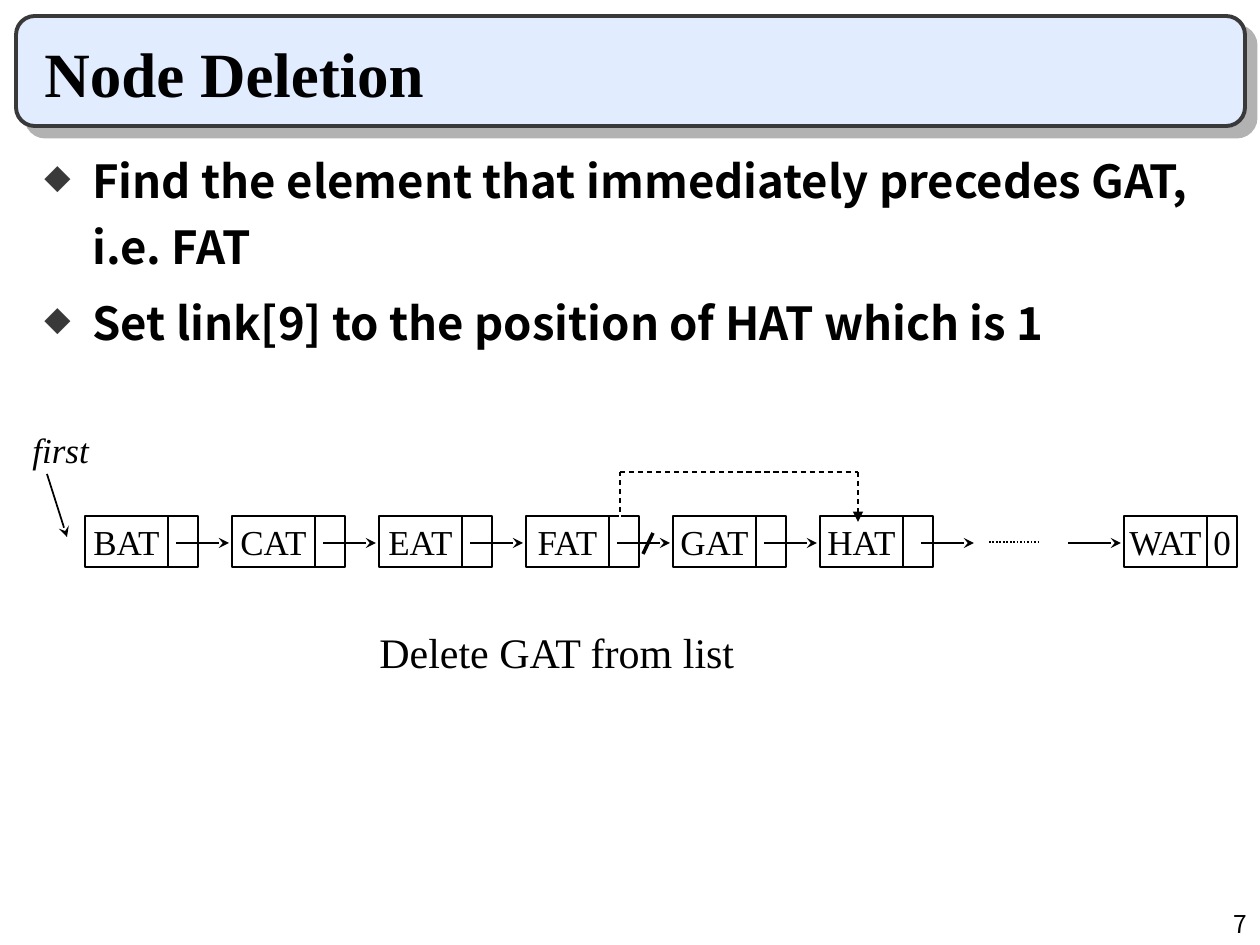
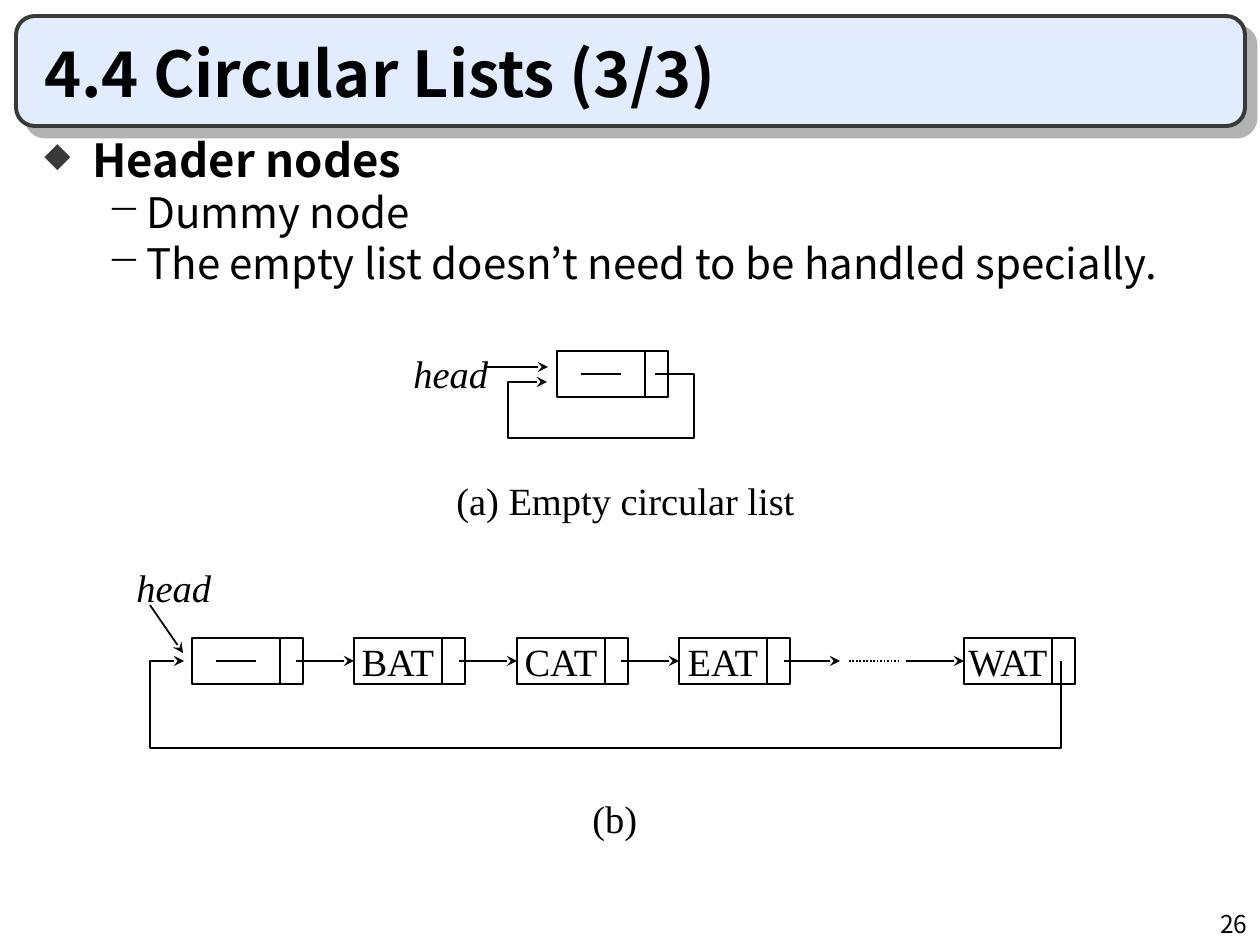
import dataclasses
import itertools

import lxml.etree
import pptx
import pptx.dml.color
import pptx.enum.dml
import pptx.enum.shapes
import pptx.enum.text
import pptx.oxml.ns
import pptx.util

# Shared scale, colours and fonts
PX = 914400 / 126
BLACK = pptx.dml.color.RGBColor(0x00, 0x00, 0x00)
WHITE = pptx.dml.color.RGBColor(0xFF, 0xFF, 0xFF)
BAND_FILL = pptx.dml.color.RGBColor(0xE1, 0xEC, 0xFF)
DARK_GREY = pptx.dml.color.RGBColor(0x39, 0x39, 0x39)
SHADOW_GREY = pptx.dml.color.RGBColor(0xB2, 0xB2, 0xB2)
SANS = "Noto Sans CJK KR"
SERIF = "Times New Roman"

SHAPES = pptx.enum.shapes.MSO_SHAPE
DASHES = pptx.enum.dml.MSO_LINE
ALIGN = pptx.enum.text.PP_ALIGN
ANCHOR = pptx.enum.text.MSO_ANCHOR
AUTO_SIZE = pptx.enum.text.MSO_AUTO_SIZE

# Bulleted paragraph formats by level; lengths in px, sizes in points
BULLETS = [
    {"margin": 48, "indent": -48, "before": 6.5, "char": "◆",
     "color": DARK_GREY, "percent": 75, "font": {"size": 26, "bold": True}},
    {"margin": 102, "indent": -39, "before": 6, "char": "−",
     "color": BLACK, "percent": 100, "font": {"size": 24, "bold": False}},
]


@dataclasses.dataclass
class NodeFormat:
    data_width: int
    link_width: int
    height: int
    size: int


DELETION_NODE = NodeFormat(83, 30, 51, 20)
CIRCULAR_NODE = NodeFormat(88, 23, 46, 22)


def emu(*lengths):
    return [round(length * PX) for length in lengths]


def set_attributes(target, values):
    for name, value in values.items():
        setattr(target, name, value)


def add_xml(parent, tag, **attributes):
    return lxml.etree.SubElement(parent, pptx.oxml.ns.qn(tag), attributes)


def set_font(paragraph, name, size, **values):
    set_attributes(paragraph.font, {"name": name, "size": pptx.util.Pt(size), **values})
    paragraph.font.color.rgb = BLACK


def set_line(shape, color=BLACK, width=1, dash=None, arrow=None):
    shape.line.color.rgb = color
    shape.line.width = pptx.util.Pt(width)
    if dash:
        shape.line.dash_style = dash
    if arrow:
        line = shape.element.spPr.find(pptx.oxml.ns.qn("a:ln"))
        add_xml(line, "a:tailEnd", type=arrow)


# Kinds of element
def add_text(slide, box, text, name, size, align=ALIGN.LEFT, frame=None, **font):
    text_frame = slide.shapes.add_textbox(*emu(*box)).text_frame
    set_attributes(text_frame, {"word_wrap": True, **(frame or {})})
    paragraph = text_frame.paragraphs[0]
    paragraph.text = text
    paragraph.alignment = align
    set_font(paragraph, name, size, **font)


def add_label(slide, box, text, size=22, **font):
    frame = {"word_wrap": False, "auto_size": AUTO_SIZE.SHAPE_TO_FIT_TEXT}
    add_text(slide, box, text, SERIF, size, frame=frame, **font)


def add_segment(slide, start, end, **line):
    connector = slide.shapes.add_connector(
        pptx.enum.shapes.MSO_CONNECTOR.STRAIGHT, *emu(*start, *end))
    set_line(connector, **line)
    add_xml(connector.element.spPr, "a:effectLst")
    return connector


def add_arrow(slide, start, end):
    return add_segment(slide, start, end, arrow="stealth")


def add_loop_arrow(slide, points):
    builder = slide.shapes.build_freeform(*points[0], scale=PX)
    builder.add_line_segments(points[1:], close=False)
    loop = builder.convert_to_shape()
    loop.shadow.inherit = False
    loop.fill.background()
    set_line(loop, arrow="stealth")


def add_cell(slide, box, text, size):
    cell = slide.shapes.add_shape(SHAPES.RECTANGLE, *emu(*box))
    cell.shadow.inherit = False
    cell.fill.background()
    set_line(cell)
    if text:
        set_attributes(cell.text_frame, {
            "word_wrap": False, "vertical_anchor": ANCHOR.MIDDLE})
        paragraph = cell.text_frame.paragraphs[0]
        paragraph.text = text
        paragraph.alignment = ALIGN.CENTER
        set_font(paragraph, SERIF, size)
    return cell


def add_node(slide, left, top, node, data="", link=""):
    """Draw a data cell and a link cell; return the data cell."""
    data_cell = add_cell(slide, (left, top, node.data_width, node.height), data, node.size)
    add_cell(slide, (left + node.data_width, top, node.link_width, node.height),
             link, node.size)
    return data_cell


def add_header_node(slide, left, top):
    add_node(slide, left, top, CIRCULAR_NODE)
    middle = top + CIRCULAR_NODE.height // 2
    add_segment(slide, (left + 24, middle), (left + 64, middle))


def add_band(slide):
    band = slide.shapes.add_shape(SHAPES.ROUNDED_RECTANGLE, *emu(16, 16, 1229, 110))
    band.adjustments[0] = 0.17
    band.fill.solid()
    band.fill.fore_color.rgb = BAND_FILL
    set_line(band, DARK_GREY, 2.25)
    band.shadow.inherit = False
    effects = band.element.spPr.find(pptx.oxml.ns.qn("a:effectLst"))
    shadow = add_xml(effects, "a:outerShdw", dist=str(pptx.util.Pt(8.5)),
                     dir="2700000", algn="ctr", rotWithShape="0")
    add_xml(shadow, "a:srgbClr", val=str(SHADOW_GREY))


def add_bullets(slide, items, line_spacing):
    text_frame = slide.shapes.add_textbox(*emu(32, 136, 1187, 735)).text_frame
    text_frame.word_wrap = True
    for index, (level, text) in enumerate(items):
        bullet = BULLETS[level]
        paragraph = text_frame.add_paragraph() if index else text_frame.paragraphs[0]
        paragraph.text = text
        set_attributes(paragraph, {
            "level": level, "line_spacing": line_spacing,
            "space_before": pptx.util.Pt(bullet["before"] if index else 0)})
        properties = paragraph._p.get_or_add_pPr()
        margin, indent = emu(bullet["margin"], bullet["indent"])
        properties.set("marL", str(margin))
        properties.set("indent", str(indent))
        color = add_xml(properties, "a:buClr")
        add_xml(color, "a:srgbClr", val=str(bullet["color"]))
        add_xml(properties, "a:buSzPct", val=str(bullet["percent"] * 1000))
        add_xml(properties, "a:buChar", char=bullet["char"])
        set_font(paragraph, SANS, **bullet["font"])


def add_base_slide(presentation, title, title_font, number):
    slide = presentation.slides.add_slide(presentation.slide_layouts[6])
    add_band(slide)
    add_text(slide, (998, 903, 262, 42), number, SANS, 14, ALIGN.RIGHT)
    add_text(slide, (32, 32, 1187, 84), title, title_font, 36,
             frame={"vertical_anchor": ANCHOR.BOTTOM}, bold=True)
    return slide


# Slides
def build_node_deletion(presentation):
    slide = add_base_slide(presentation, "Node Deletion", SERIF, "7")
    add_bullets(slide, [
        (0, "Find the element that immediately precedes GAT, i.e. FAT"),
        (0, "Set link[9] to the position of HAT which is 1"),
    ], 1.2)

    # Chain of nodes
    top, arrow_y, first_left, step, wat_left = 516, 543, 85, 147, 1124
    words = ["BAT", "CAT", "EAT", "FAT", "GAT", "HAT"]
    lefts = [first_left + step * index for index in range(len(words))]
    for left, word in zip(lefts, words):
        add_node(slide, left, top, DELETION_NODE, word)
    add_node(slide, wat_left, top, DELETION_NODE, "WAT", "0")
    arrow_starts = [left + 91 for left in lefts[:-1]] + [lefts[-1] + 101, wat_left - 56]
    for start in arrow_starts:
        add_arrow(slide, (start, arrow_y), (start + 53, arrow_y))
    add_segment(slide, (989, 542), (1041, 542), dash=DASHES.ROUND_DOT)

    # Pointer to the first node and the cut link
    add_label(slide, (20, 422, 82, 54), "first", 20, italic=True)
    add_arrow(slide, (47, 474), (67, 537))
    add_segment(slide, (653, 533), (643, 554), width=2)
    add_label(slide, (367, 620, 386, 63), "Delete GAT from list", 24)

    # New link around the deleted node, over a white clearance line
    for color, dash, right, start_y, end_y in [
            (WHITE, None, 861, 535, 514), (BLACK, DASHES.DASH, 858, 512, 522)]:
        points = [(620, start_y), (620, 472), (right, 472), (right, end_y)]
        for index, (start, end) in enumerate(itertools.pairwise(points)):
            add_segment(slide, start, end, color=color, width=0.75, dash=dash,
                        arrow="triangle" if index == 2 else None)


def build_circular_lists(presentation):
    slide = add_base_slide(presentation, "4.4 Circular Lists (3/3)", SANS, "26")
    add_bullets(slide, [
        (0, "Header nodes"),
        (1, "Dummy node"),
        (1, "The empty list doesn’t need to be handled specially."),
    ], 0.8)

    # (a) Empty list
    add_label(slide, (401, 344, 101, 59), "head", italic=True)
    add_arrow(slide, (484, 367), (548, 367))
    add_header_node(slide, 557, 351)
    add_loop_arrow(slide, [(655, 374), (694, 374), (694, 438),
                           (508, 438), (508, 382), (547, 382)])
    add_label(slide, (444, 471, 364, 59), "(a) Empty circular list")

    # (b) List with nodes
    top, arrow_y, wat_left = 638, 661, 964
    lefts = [192 + 325 * index // 2 for index in range(4)]
    add_label(slide, (124, 558, 101, 59), "head", italic=True)
    add_arrow(slide, (150, 605), (183, 653))
    add_header_node(slide, lefts[0], top)
    for left, word in zip(lefts[1:] + [wat_left], ["BAT", "CAT", "EAT", "WAT"]):
        data_cell = add_node(slide, left, top, CIRCULAR_NODE, word)
        arrow = add_arrow(slide, (left - 58, arrow_y), (left, arrow_y))
        arrow.end_connect(data_cell, 1)
    add_arrow(slide, (lefts[-1] + 105, arrow_y), (lefts[-1] + 161, arrow_y))
    add_segment(slide, (849, arrow_y), (898, arrow_y), dash=DASHES.ROUND_DOT)
    add_loop_arrow(slide, [(1061, arrow_y), (1061, 748), (150, 748),
                           (150, arrow_y), (184, arrow_y)])
    add_label(slide, (580, 789, 71, 59), "(b)")


def main():
    presentation = pptx.Presentation()
    presentation.slide_width, presentation.slide_height = emu(1260, 945)
    build_node_deletion(presentation)
    build_circular_lists(presentation)
    presentation.save("out.pptx")


if __name__ == "__main__":
    main()
